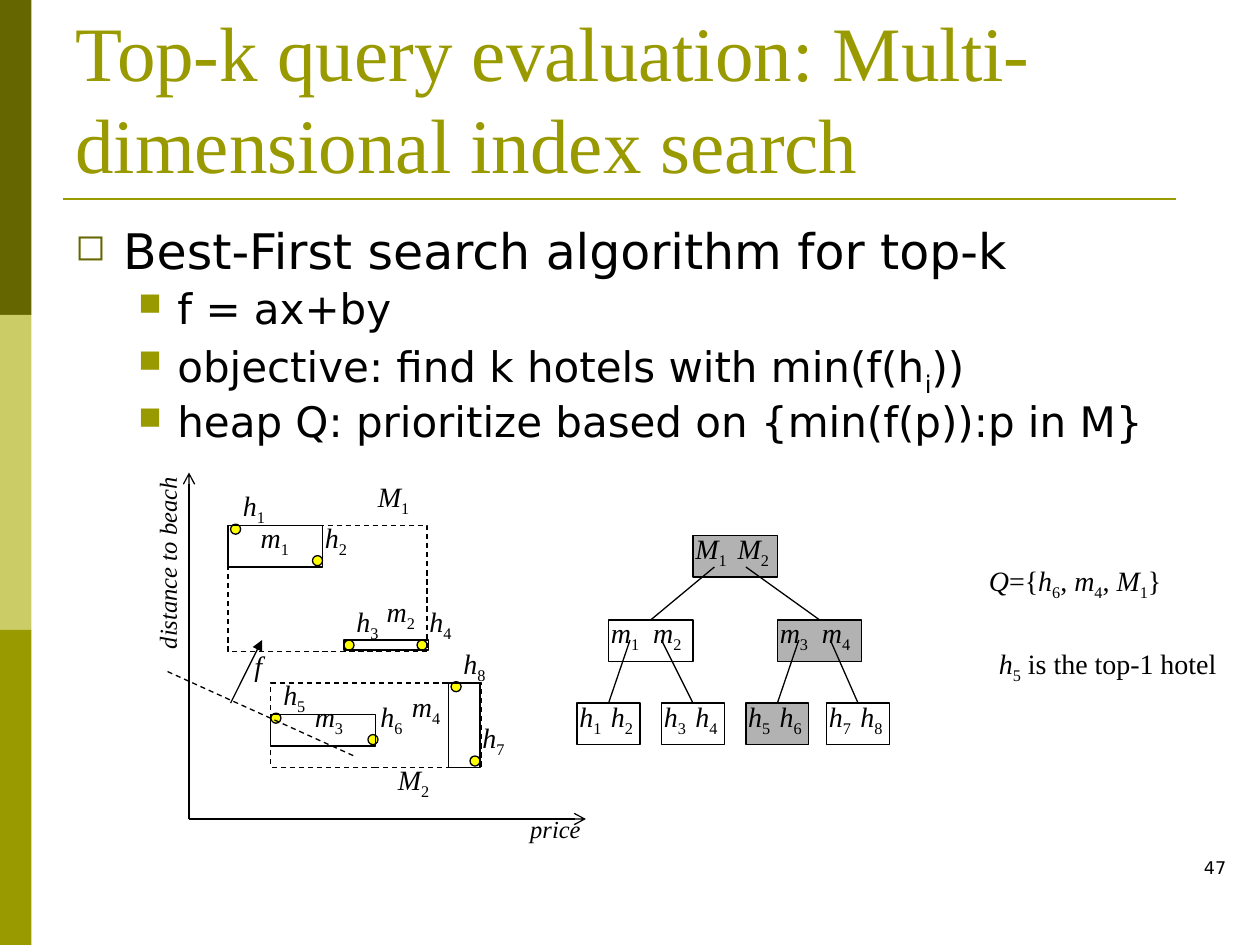
from lxml import etree
from pptx import Presentation
from pptx.dml.color import RGBColor
from pptx.enum.dml import MSO_LINE
from pptx.enum.shapes import MSO_CONNECTOR, MSO_SHAPE
from pptx.enum.text import MSO_ANCHOR, MSO_AUTO_SIZE, PP_ALIGN
from pptx.oxml.ns import qn
from pptx.util import Inches, Pt

OLIVE = RGBColor(0x99, 0x99, 0x00)
DARK_OLIVE = RGBColor(0x66, 0x66, 0x00)
PALE_OLIVE = RGBColor(0xCC, 0xCC, 0x66)
BLACK = RGBColor(0, 0, 0)
YELLOW = RGBColor(0xFF, 0xFF, 0)
GRAY = RGBColor(0xB2, 0xB2, 0xB2)
SERIF, SANS = "Times New Roman", "DejaVu Sans"
LABEL_WIDTHS = {"h": 0.44, "m": 0.51, "M": 0.52}


def write(paragraph, text, size=16, font=SERIF, color=BLACK, align=None):
    """Write runs split by "|"; a leading "/" means italic, "_" subscript."""
    paragraph.alignment = align
    for part in text.split("|"):
        run = paragraph.add_run()
        run.text = part.lstrip("/_")
        run.font.size, run.font.name = Pt(size), font
        run.font.color.rgb = color
        run.font.italic = part.startswith("/")
        if part.startswith("_"):
            run.font._element.set("baseline", "-25000")


def add_bullet(paragraph, mark, color, indent, hanging):
    properties = paragraph._p.get_or_add_pPr()
    properties.set("marL", str(Inches(indent)))
    properties.set("indent", str(-Inches(hanging)))
    bullet_color = etree.SubElement(properties, qn("a:buClr"))
    etree.SubElement(bullet_color, qn("a:srgbClr"), val=str(color))
    etree.SubElement(properties, qn("a:buSzPct"), val="75000")
    etree.SubElement(properties, qn("a:buChar"), char=mark)


class SlideBuilder:
    def __init__(self, slide, line_width=0.75):
        self.shapes = slide.shapes
        self.line_width = line_width

    def shape(self, left, top, width, height, kind=MSO_SHAPE.RECTANGLE,
              fill=None, outline=BLACK, dashed=False):
        shape = self.shapes.add_shape(
            kind, Inches(left), Inches(top), Inches(width), Inches(height))
        shape.shadow.inherit = False
        if fill is None:
            shape.fill.background()
        else:
            shape.fill.solid()
            shape.fill.fore_color.rgb = fill
        if outline is None:
            shape.line.fill.background()
        else:
            self.style_line(shape.line, outline, self.line_width, dashed)
        return shape

    def style_line(self, line, color, width, dashed):
        line.color.rgb = color
        line.width = Pt(width)
        if dashed:
            line.dash_style = MSO_LINE.DASH

    def line(self, start, end, color=BLACK, width=None, dashed=False,
             arrow=None, child=None):
        connector = self.shapes.add_connector(
            MSO_CONNECTOR.STRAIGHT, *map(Inches, (*start, *end)))
        self.style_line(connector.line, color, width or self.line_width, dashed)
        if arrow:
            etree.SubElement(connector.line._get_or_add_ln(),
                             qn("a:tailEnd"), type=arrow)
        etree.SubElement(connector._element.spPr, qn("a:effectLst"))
        if child is not None:
            connector.end_connect(child, 0)

    def text_frame(self, left, top, width, height, wrap=True, rotation=0):
        box = self.shapes.add_textbox(
            Inches(left), Inches(top), Inches(width), Inches(height))
        box.rotation = rotation
        frame = box.text_frame
        frame.word_wrap = wrap
        if not wrap:
            frame.auto_size = MSO_AUTO_SIZE.SHAPE_TO_FIT_TEXT
        return frame

    def note(self, text, left, top, width, height=0.4, size=16, rotation=0):
        frame = self.text_frame(left, top, width, height, False, rotation)
        write(frame.paragraphs[0], text, size=size)

    def symbol(self, name, left, top):
        """Put a name such as h1 with its number as a subscript."""
        self.note(f"/{name[0]}|_{name[1]}", left, top, LABEL_WIDTHS[name[0]])

    def node(self, names, left, top, width, fill=None):
        box = self.shape(left, top, width, 0.33, fill=fill)
        for i, name in enumerate(names):
            self.symbol(name, left - 0.08 + i * width / 2, top - 0.08)
        return box


def add_frame_and_text(page):
    for i, color in enumerate((DARK_OLIVE, PALE_OLIVE, OLIVE)):
        page.shape(0, 2.5 * i, 0.25, 2.5, fill=color, outline=None)
    page.line((0.5, 1.58), (9.33, 1.58), color=OLIVE, width=1.5)

    title = page.text_frame(0.5, 0.3, 9, 1.25)
    title.vertical_anchor = MSO_ANCHOR.BOTTOM
    write(title.paragraphs[0],
          "Top-k query evaluation: Multi-dimensional index search",
          size=44, color=OLIVE)

    body = page.text_frame(0.5, 1.75, 9, 5.33)
    heading = body.paragraphs[0]
    heading.line_spacing = 0.9
    add_bullet(heading, "◻", DARK_OLIVE, 0.38, 0.38)
    write(heading, "Best-First search algorithm for top-k", size=28, font=SANS)
    for point in ("f = ax+by",
                  "objective: find k hotels with min(f(h|_i|))",
                  "heap Q: prioritize based on {min(f(p)):p in M}"):
        paragraph = body.add_paragraph()
        paragraph.level = 1
        paragraph.line_spacing = 0.9
        paragraph.space_before = Pt(4.8)
        add_bullet(paragraph, "■", OLIVE, 0.81, 0.31)
        write(paragraph, point, size=24, font=SANS)

    number = page.text_frame(7.5, 6.75, 2.33, 0.5)
    write(number.paragraphs[0], "47", size=10, font=SANS, align=PP_ALIGN.RIGHT)


def add_hotel_map(page):
    origin = (1.5, 6.5)
    for axis_end in ((4.65, 6.5), (1.5, 3.75)):
        page.line(origin, axis_end, arrow="arrow")
    page.note("/price", 4.11, 6.41, 0.64, 0.34, size=14)
    page.note("/distance to beach", 0.51, 4.26, 1.64, 0.34, size=14, rotation=270)

    hotels = {"h1": (1.83, 3.83), "h2": (2.48, 4.08), "h3": (2.73, 4.75),
              "h4": (3.31, 4.75), "h5": (2.15, 5.33), "h6": (2.92, 5.5),
              "h7": (3.73, 5.67), "h8": (3.58, 5.08)}
    for name, (left, top) in hotels.items():
        page.symbol(name, left, top)
        page.shape(left, top + 0.33, 0.08, 0.08, MSO_SHAPE.OVAL, fill=YELLOW)

    page.line((1.33, 5.33), (2.81, 6), dashed=True)
    page.line((1.83, 5.58), (2.08, 5.08), arrow="triangle")
    page.note("/f", 1.92, 5.1, 0.33)

    regions = {"m1": ((1.81, 4.17, 0.75, 0.33), (1.97, 4.08)),
               "m2": ((2.73, 5.08, 0.67, 0.08), (2.97, 4.67)),
               "m3": ((2.15, 5.67, 0.83, 0.25), (2.4, 5.5)),
               "m4": ((3.56, 5.42, 0.25, 0.67), (3.17, 5.42)),
               "M1": ((1.81, 4.17, 1.58, 1), (2.9, 3.76)),
               "M2": ((2.15, 5.42, 1.67, 0.67), (3.06, 6))}
    for name, (bounds, label_at) in regions.items():
        page.shape(*bounds, dashed=name.startswith("M"))
        page.symbol(name, *label_at)


def add_index_tree(page):
    page.node(("M1", "M2"), 5.5, 4.25, 0.67, GRAY)
    inner = [page.node(("m1", "m2"), 4.83, 4.92, 0.67),
             page.node(("m3", "m4"), 6.17, 4.92, 0.67, GRAY)]
    leaves = [page.node((f"h{2 * i + 1}", f"h{2 * i + 2}"), left, 5.58, 0.5,
                        GRAY if i == 2 else None)
              for i, left in enumerate((4.58, 5.25, 5.92, 6.56))]

    families = ((5.5, 4.5, inner), (4.83, 5.08, leaves[:2]), (6.17, 5.08, leaves[2:]))
    for parent_left, start_top, children in families:
        for offset, child in zip((0.17, 0.42), children):
            start = (parent_left + offset, start_top)
            page.line(start, start, child=child)


def main():
    deck = Presentation()
    deck.slide_width, deck.slide_height = Inches(10), Inches(7.5)
    page = SlideBuilder(deck.slides.add_slide(deck.slide_layouts[6]))
    add_frame_and_text(page)
    add_hotel_map(page)
    add_index_tree(page)
    page.note("/Q|={|/h|_6|, |/m|_4|, |/M|_1|}", 7.75, 4.42, 1.64, 0.37)
    page.note("/h|_5| is the top-1 hotel", 7.83, 5.08, 1.99, 0.37)
    deck.save("out.pptx")


if __name__ == "__main__":
    main()
